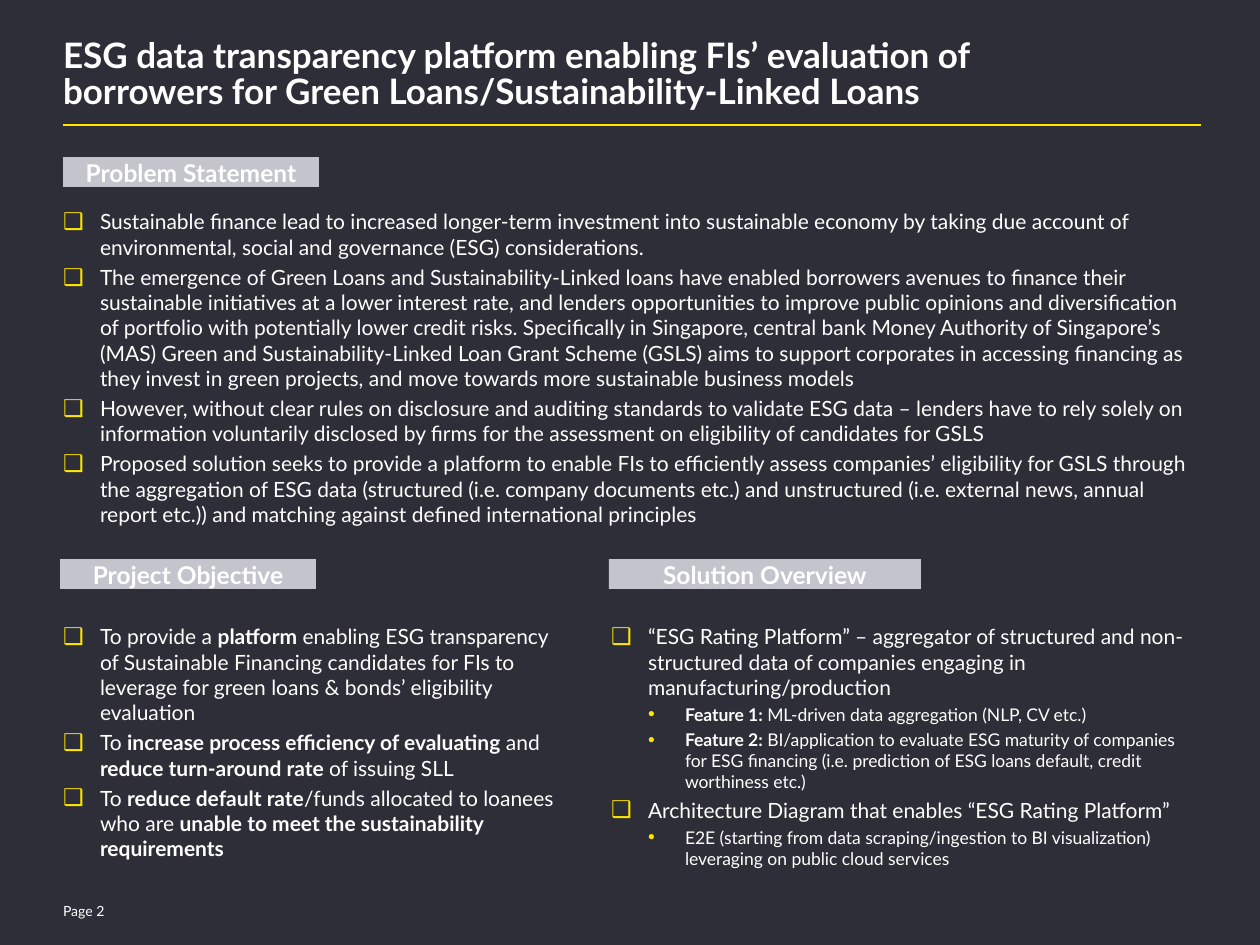
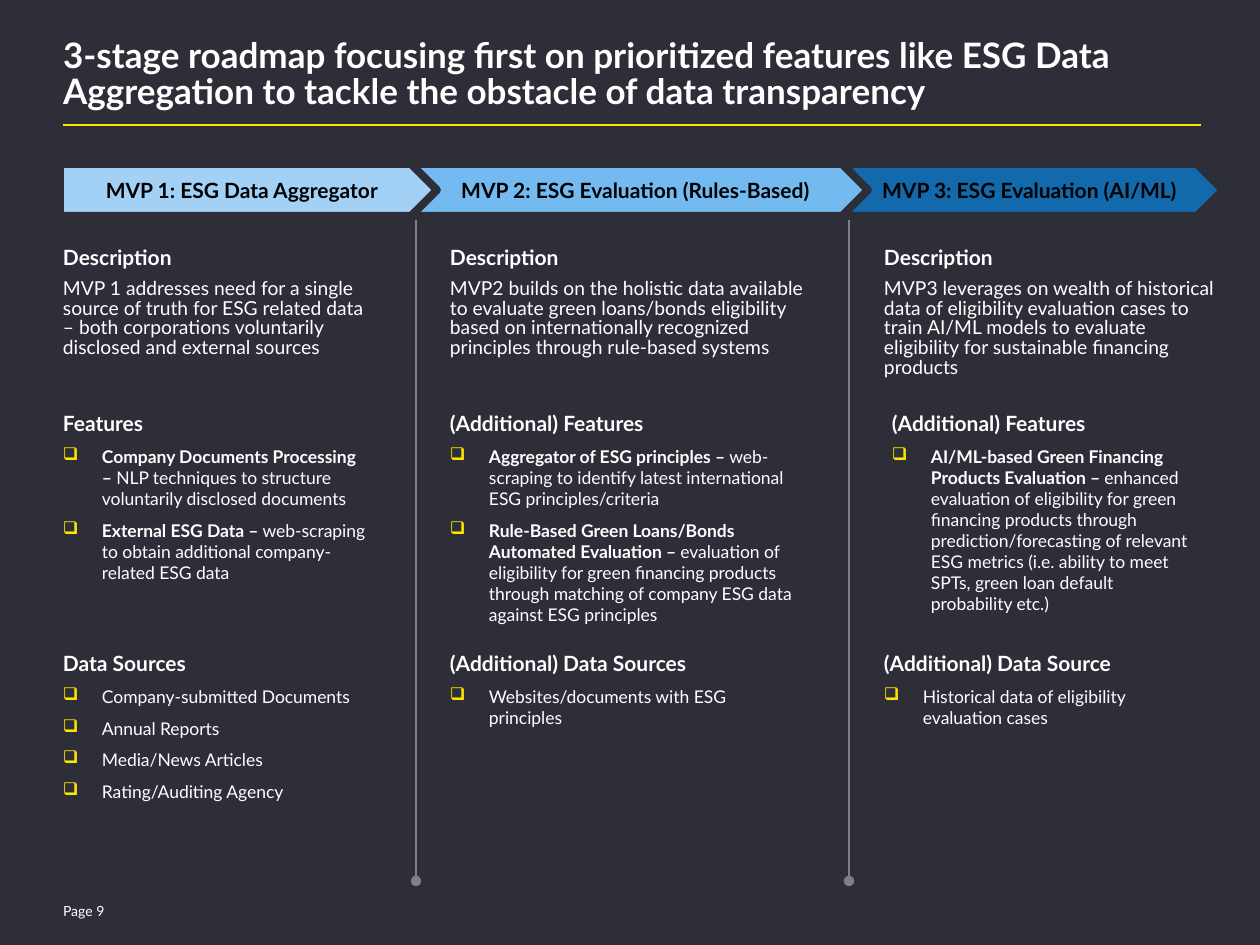
from dataclasses import dataclass

from lxml import etree
from pptx import Presentation
from pptx.dml.color import RGBColor
from pptx.enum import shapes, text
from pptx.oxml.ns import qn
from pptx import util as u


@dataclass(frozen=True)
class Theme:
    font: str = "Lato"
    ground: str = "2E2E38"
    ink: str = "FFFFFF"
    accent: str = "FFE600"
    band: str = "C4C4CD"
    divider: str = "808080"
    stage_ink: str = "000000"
    title: int = 20
    label: int = 14
    body: int = 12
    summary: int = 11
    detail: int = 10
    footer: int = 8
    tight: float = 0.85
    gap: int = 6


THEME = Theme()
EMU_PER_PX = 914400 / 126
SQUARE, DOT = "❑", "•"
COMPARISON, TITLE_ONLY = 4, 5

# Text between ** marks is bold. List items are (level, text).
OVERVIEW = {
    "title": "ESG data transparency platform enabling FIs’ evaluation of borrowers for "
             "Green Loans/Sustainability-Linked Loans",
    "title_width": 1055,
    "number": 2,
    "sections": [
        {"label": "Problem Statement", "band": (63, 157, 256, 30), "area": (63, 209, 1134, 232),
         "items": [
             (0, "Sustainable finance lead to increased longer-term investment into sustainable "
                 "economy by taking due account of environmental, social and governance (ESG) "
                 "considerations."),
             (0, "The emergence of Green Loans and Sustainability-Linked loans have enabled "
                 "borrowers avenues to finance their sustainable initiatives at a lower interest "
                 "rate, and lenders opportunities to improve public opinions and diversification "
                 "of portfolio with potentially lower credit risks. Specifically in Singapore, "
                 "central bank Money Authority of Singapore’s (MAS) Green and "
                 "Sustainability-Linked Loan Grant Scheme (GSLS) aims to support corporates in "
                 "accessing financing as they invest in green projects, and move towards more "
                 "sustainable business models"),
             (0, "However, without clear rules on disclosure and auditing standards to validate "
                 "ESG data – lenders have to rely solely on information voluntarily disclosed by "
                 "firms for the assessment on eligibility of candidates for GSLS"),
             (0, "Proposed solution seeks to provide a platform to enable FIs to efficiently "
                 "assess companies’ eligibility for GSLS through the aggregation of ESG data "
                 "(structured (i.e. company documents etc.) and unstructured (i.e. external news, "
                 "annual report etc.)) and matching against defined international principles"),
         ]},
        {"label": "Project Objective", "band": (60, 559, 256, 30), "area": (63, 624, 509, 232),
         "items": [
             (0, "To provide a **platform** enabling ESG transparency of Sustainable Financing "
                 "candidates for FIs to leverage for green loans & bonds’ eligibility evaluation"),
             (0, "To **increase process efficiency of evaluating **and **reduce turn-around rate "
                 "**of issuing SLL"),
             (0, "To **reduce default rate**/funds allocated to loanees who are **unable to meet "
                 "the sustainability requirements**"),
         ]},
        {"label": "Solution Overview", "band": (609, 559, 312, 30), "area": (611, 624, 586, 232),
         "items": [
             (0, "“ESG Rating Platform” – aggregator of structured and non-structured data of "
                 "companies engaging in manufacturing/production"),
             (1, "**Feature 1:** ML-driven data aggregation (NLP, CV etc.)"),
             (1, "**Feature 2:** BI/application to evaluate ESG maturity of companies for ESG "
                 "financing (i.e. prediction of ESG loans default, credit worthiness etc.)"),
             (0, "Architecture Diagram that enables “ESG Rating Platform”"),
             (1, "E2E (starting from data scraping/ingestion to BI visualization) leveraging on "
                 "public cloud services"),
         ]},
    ],
}

ROADMAP = {
    "title": "3-stage roadmap focusing first on prioritized features like ESG Data Aggregation "
             "to tackle the obstacle of data transparency",
    "title_width": 1134,
    "number": 9,
    "rows": [(243, 136), (409, 218), (649, 231)],
    "arrow_row": (164, 52),
    "divider_end": 881,
    "stages": [
        {"name": "MVP 1: ESG Data Aggregator", "fill": "A2D1F5", "arrow": (60, 377),
         "columns": [(63, 305), (63, 305), (63, 305)],
         "summary": "MVP 1 addresses need for a single source of truth for ESG related data – "
                    "both corporations voluntarily disclosed and external sources",
         "features": ("Features", [
             "**Company Documents Processing – **NLP techniques to structure voluntarily "
             "disclosed documents",
             "**External ESG Data – **web-scraping to obtain additional company-related ESG data",
         ]),
         "sources": ("Data Sources", [
             "Company-submitted Documents", "Annual Reports", "Media/News Articles",
             "Rating/Auditing Agency",
         ])},
        {"name": "MVP 2: ESG Evaluation (Rules-Based)", "fill": "73BAF0", "arrow": (416, 452),
         "columns": [(450, 365), (450, 358), (450, 305)],
         "summary": "MVP2 builds on the holistic data available to evaluate green loans/bonds "
                    "eligibility based on internationally recognized principles through "
                    "rule-based systems",
         "features": ("(Additional) Features", [
             "**Aggregator of ESG principles – **web-scraping to identify latest international "
             "ESG principles/criteria",
             "**Rule-Based Green Loans/Bonds Automated Evaluation – **evaluation of eligibility "
             "for green financing products through matching of company ESG data against ESG "
             "principles",
         ]),
         "sources": ("(Additional) Data Sources", ["Websites/documents with ESG principles"])},
        {"name": "MVP 3: ESG Evaluation (AI/ML)", "fill": "1269AC", "arrow": (849, 374),
         "columns": [(884, 332), (892, 305), (884, 305)],
         "summary": "MVP3 leverages on wealth of historical data of eligibility evaluation cases "
                    "to train AI/ML models to evaluate eligibility for sustainable financing "
                    "products",
         "features": ("(Additional) Features", [
             "**AI/ML-based Green Financing Products Evaluation – **enhanced evaluation of "
             "eligibility for green financing products through prediction/forecasting of relevant "
             "ESG metrics (i.e. ability to meet SPTs, green loan default probability etc.)",
         ]),
         "sources": ("(Additional) Data Source",
                     ["Historical data of eligibility evaluation cases"])},
    ],
}


def px(length):
    return u.Emu(round(length * EMU_PER_PX))


def color(value):
    return RGBColor.from_string(value)


def place(box, area):
    box.left, box.top, box.width, box.height = map(px, area)


def prepare_frame(box, top=0, anchor=text.MSO_ANCHOR.TOP):
    frame = box.text_frame
    frame.word_wrap = True
    frame.auto_size = text.MSO_AUTO_SIZE.NONE
    frame.vertical_anchor = anchor
    frame.margin_left = frame.margin_right = frame.margin_bottom = 0
    frame.margin_top = px(top)
    return frame


def add_bullet(para, symbol, left, hang, percent):
    properties = para._p.get_or_add_pPr()
    properties.set("marL", str(px(left)))
    properties.set("indent", str(-px(hang)))
    tint = etree.SubElement(properties, qn("a:buClr"))
    etree.SubElement(tint, qn("a:srgbClr"), val=THEME.accent)
    etree.SubElement(properties, qn("a:buSzPct"), val=str(percent * 1000))
    etree.SubElement(properties, qn("a:buChar"), char=symbol)


def write(frame, content, size=THEME.body, ink=THEME.ink, bold=False, align=text.PP_ALIGN.LEFT,
          line=1.0, before=0, after=0, level=0, bullet=None):
    """Add one paragraph; bullet holds the keyword arguments of add_bullet."""
    first = not frame.text
    para = frame.paragraphs[0] if first else frame.add_paragraph()
    para.level = level
    if bullet:
        add_bullet(para, **bullet)
    para.alignment = align
    para.line_spacing = line
    para.space_before = u.Pt(0 if first else before)
    para.space_after = u.Pt(after)
    for order, piece in enumerate(content.split("**")):
        if piece:
            span = para.add_run()
            span.text = piece
            span.font.name = THEME.font
            span.font.size = u.Pt(size)
            span.font.bold = bold or order % 2 == 1
            span.font.color.rgb = color(ink)


def add_text_box(page, area, **frame_format):
    box = page.shapes.add_textbox(*map(px, area))
    return prepare_frame(box, **frame_format)


def add_block(page, kind, area, fill):
    block = page.shapes.add_shape(kind, *map(px, area))
    block.shadow.inherit = False
    block.fill.solid()
    block.fill.fore_color.rgb = color(fill)
    block.line.fill.background()
    return block


def add_line(page, start, end, ink):
    line = page.shapes.add_connector(shapes.MSO_CONNECTOR.STRAIGHT, *map(px, start + end))
    line.line.color.rgb = color(ink)
    line.line.width = u.Pt(1.5)
    etree.SubElement(line._element.spPr, qn("a:effectLst"))
    return line


def add_page(deck, layout, content):
    page = deck.slides.add_slide(deck.slide_layouts[layout])
    add_line(page, (63, 125), (1201, 125), THEME.accent)
    title = page.shapes.title
    place(title, (63, 40, content["title_width"], 82))
    write(prepare_frame(title), content["title"], size=THEME.title, bold=True, line=THEME.tight)
    footer = add_text_box(page, (63, 898, 92, 25), anchor=text.MSO_ANCHOR.MIDDLE)
    write(footer, f"Page {content['number']}", size=THEME.footer)
    return page


def add_section(page, body, section):
    band = add_block(page, shapes.MSO_SHAPE.RECTANGLE, section["band"], THEME.band)
    write(prepare_frame(band, top=5), section["label"], size=THEME.label, bold=True,
          align=text.PP_ALIGN.CENTER, line=THEME.tight, after=THEME.gap)
    place(body, section["area"])
    frame = prepare_frame(body)
    for level, item in section["items"]:
        size = (THEME.body, THEME.detail)[level]
        write(frame, item, size=size, level=level, before=round(size * 0.24, 1),
              bullet=dict(symbol=(SQUARE, DOT)[level], left=37 * (level + 1), hang=37,
                          percent=110))


def build_overview(deck):
    page = add_page(deck, COMPARISON, OVERVIEW)
    bodies = [box for box in page.placeholders if box.placeholder_format.idx > 0]
    sections = OVERVIEW["sections"]
    for body, section in zip(bodies, sections):
        add_section(page, body, section)
    for unused in bodies[len(sections):]:
        unused.element.getparent().remove(unused.element)


def add_stage_arrow(page, stage):
    left, width = stage["arrow"]
    top, height = ROADMAP["arrow_row"]
    arrow = add_block(page, shapes.MSO_SHAPE.PENTAGON, (left, top, width, height), stage["fill"])
    arrow.line.color.rgb = color(THEME.ground)
    arrow.line.width = u.Pt(4.5)
    frame = prepare_frame(arrow, anchor=text.MSO_ANCHOR.MIDDLE)
    write(frame, stage["name"], ink=THEME.stage_ink, bold=True, align=text.PP_ALIGN.CENTER)
    return arrow


def add_divider(page, stage):
    left = stage["arrow"][0]
    top, height = ROADMAP["arrow_row"]
    divider = add_line(page, (left, top + height // 2), (left, ROADMAP["divider_end"]),
                       THEME.divider)
    for end in ("a:headEnd", "a:tailEnd"):
        etree.SubElement(divider.line._get_or_add_ln(), qn(end), type="oval")
    return divider


def add_stage_text(page, stage):
    parts = [("Description", []), stage["features"], stage["sources"]]
    for (heading, items), (left, width), (top, height) in zip(
            parts, stage["columns"], ROADMAP["rows"]):
        frame = add_text_box(page, (left, top, width, height), top=5)
        write(frame, heading, bold=True, line=THEME.tight, after=THEME.gap)
        if not items:
            write(frame, stage["summary"], size=THEME.summary, line=THEME.tight, after=THEME.gap)
        for item in items:
            write(frame, item, size=THEME.detail, after=THEME.gap,
                  bullet=dict(symbol=SQUARE, left=39, hang=39, percent=100))


def build_roadmap(deck):
    page = add_page(deck, TITLE_ONLY, ROADMAP)
    stages = ROADMAP["stages"]
    dividers = [add_divider(page, stage) for stage in stages[1:]]
    # Later stages go first so that each arrow tip lies over the next arrow.
    arrows = [add_stage_arrow(page, stage) for stage in reversed(stages)][::-1]
    for divider, arrow in zip(dividers, arrows[1:]):
        divider.begin_connect(arrow, 1)
    for stage in stages:
        add_stage_text(page, stage)


def main():
    deck = Presentation()
    deck.slide_width, deck.slide_height = px(1260), px(945)
    ground = deck.slide_master.background.fill
    ground.solid()
    ground.fore_color.rgb = color(THEME.ground)
    build_overview(deck)
    build_roadmap(deck)
    deck.save("out.pptx")


if __name__ == "__main__":
    main()
